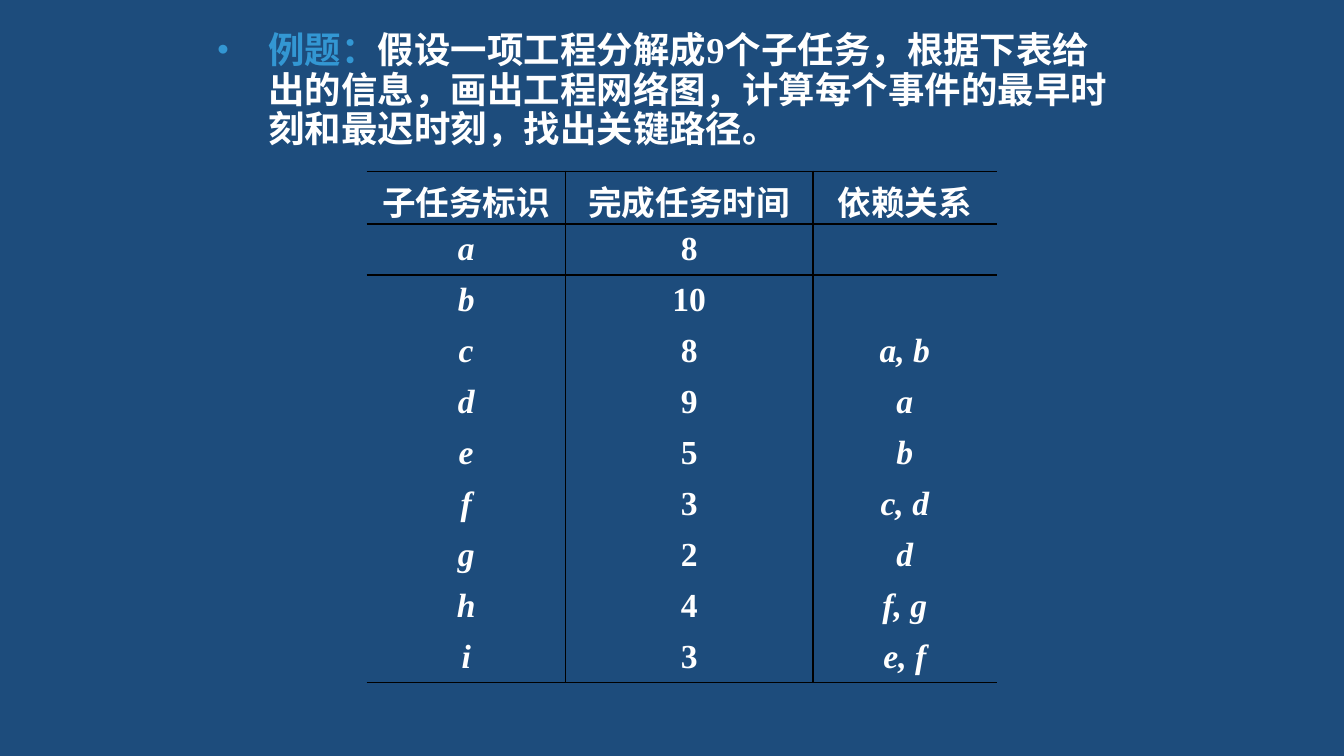
from dataclasses import dataclass

from lxml import etree
from pptx import Presentation
from pptx import util as u
from pptx.dml.color import RGBColor
from pptx.enum import text
from pptx.oxml import ns


@dataclass(frozen=True)
class Theme:
    background: str = "1D4C7C"
    accent: str = "3397D3"
    ink: str = "FFFFFF"
    rule: str = "000000"
    font: str = "Times New Roman"
    question_size: float = 19.5
    table_size: float = 18
    rule_width: float = 1


THEME = Theme()
NO_STYLE = "{2D5ABB26-0587-4C30-8999-92F81FD0307C}"

HEADINGS = ("子任务标识", "完成任务时间", "依赖关系")
TASKS = (
    ("a", "8", ""),
    ("b", "10", ""),
    ("c", "8", "a, b"),
    ("d", "9", "a"),
    ("e", "5", "b"),
    ("f", "3", "c, d"),
    ("g", "2", "d"),
    ("h", "4", "f, g"),
    ("i", "3", "e, f"),
)


def write(paragraph, words, size=THEME.table_size, color=THEME.ink, italic=False):
    run = paragraph.add_run()
    run.text = words
    run.font.name = THEME.font
    run.font.size = u.Pt(size)
    run.font.bold = True
    run.font.italic = italic
    run.font.color.rgb = RGBColor.from_string(color)


def add_bullet(paragraph, indent):
    properties = paragraph._p.get_or_add_pPr()
    properties.set("marL", str(indent))
    properties.set("indent", str(-indent))
    for tag, attribute, value in (
        ("a:buSzPct", "val", "90000"),
        ("a:buFont", "typeface", "Arial"),
        ("a:buChar", "char", "•"),
    ):
        etree.SubElement(properties, ns.qn(tag)).set(attribute, value)


def add_question(slide):
    question = slide.placeholders[1]
    question.left, question.top = u.Cm(4.11), u.Cm(0.61)
    question.width, question.height = u.Cm(17.15), u.Cm(2.26)
    frame = question.text_frame
    frame.margin_left = frame.margin_right = frame.margin_top = frame.margin_bottom = 0
    frame.vertical_anchor = text.MSO_ANCHOR.TOP
    frame.word_wrap = True
    frame.auto_size = text.MSO_AUTO_SIZE.SHAPE_TO_FIT_TEXT
    paragraph = frame.paragraphs[0]
    add_bullet(paragraph, u.Cm(0.96))
    paragraph.line_spacing = 0.9
    paragraph.space_before = u.Pt(0)
    write(paragraph, "例题：", size=THEME.question_size, color=THEME.accent)
    write(
        paragraph,
        "假设一项工程分解成9个子任务，根据下表给出的信息，画出工程网络图，"
        "计算每个事件的最早时刻和最迟时刻，找出关键路径。",
        size=THEME.question_size,
    )


def rule_cell(cell, sides):
    properties = cell._tc.get_or_add_tcPr()
    for position, side in enumerate(sides):
        line = etree.Element(ns.qn(f"a:ln{side}"), w=str(u.Pt(THEME.rule_width)))
        fill = etree.SubElement(line, ns.qn("a:solidFill"))
        etree.SubElement(fill, ns.qn("a:srgbClr"), val=THEME.rule)
        properties.insert(position, line)


def fill_cell(cell, words, italic, sides):
    cell.fill.background()
    cell.vertical_anchor = text.MSO_ANCHOR.MIDDLE
    cell.margin_left = cell.margin_right = u.Cm(0.18)
    cell.margin_top = cell.margin_bottom = u.Cm(0.1)
    paragraph = cell.text_frame.paragraphs[0]
    paragraph.alignment = text.PP_ALIGN.CENTER
    write(paragraph, words, italic=italic)
    rule_cell(cell, sides)


def add_tasks(slide):
    rows = (HEADINGS, *TASKS)
    widths = (3.76, 4.67, 3.48)
    heights = [0.99] + [0.95] * len(TASKS)
    table = slide.shapes.add_table(
        len(rows), len(widths), u.Cm(6.93), u.Cm(3.24),
        u.Cm(sum(widths)), u.Cm(sum(heights)),
    ).table
    table.first_row = table.horz_banding = False
    table._tbl.tblPr.find(ns.qn("a:tableStyleId")).text = NO_STYLE
    for column, width in zip(table.columns, widths):
        column.width = u.Cm(width)
    for row, height in zip(table.rows, heights):
        row.height = u.Cm(height)

    last_row, last_column = len(rows) - 1, len(widths) - 1
    for r, row in enumerate(rows):
        for c, words in enumerate(row):
            drawn = {
                "L": c > 0,
                "R": c < last_column,
                "T": r <= 1,
                "B": r in (0, last_row),
            }
            sides = [side for side, shown in drawn.items() if shown]
            fill_cell(table.cell(r, c), words, italic=r > 0 and c != 1, sides=sides)


def main():
    deck = Presentation()
    deck.slide_width, deck.slide_height = u.Cm(25.4), u.Cm(14.29)
    slide = deck.slides.add_slide(deck.slide_layouts[1])
    slide.background.fill.solid()
    slide.background.fill.fore_color.rgb = RGBColor.from_string(THEME.background)
    title = slide.shapes.title.element
    title.getparent().remove(title)
    add_question(slide)
    add_tasks(slide)
    deck.save("out.pptx")


if __name__ == "__main__":
    main()
